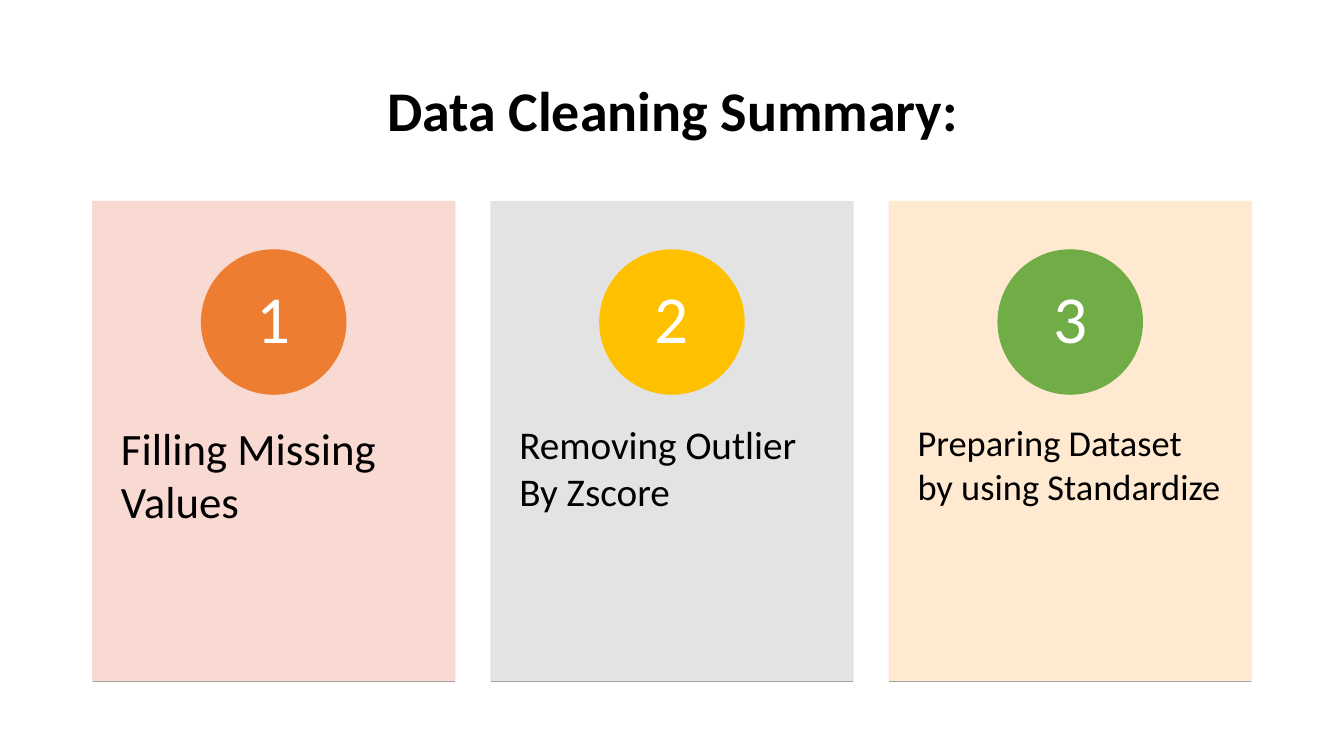
from lxml.etree import SubElement
from pptx import Presentation
from pptx.dml.color import RGBColor
from pptx.enum.shapes import MSO_CONNECTOR, MSO_SHAPE
from pptx.enum.text import MSO_ANCHOR, PP_ALIGN
from pptx.oxml.ns import qn
from pptx.util import Emu, Pt

EMU_PER_PX = 9144  # 100 px to the inch
CARD_LEFT, CARD_TOP, CARD_WIDTH, CARD_HEIGHT = 92, 200, 359, 476
CARD_PITCH = 395
BADGE_SIZE = 143
STEPS = [
    ("Filling Missing Values", 32, "F8D7CE", "ED7D31"),
    ("Removing Outlier By Zscore", 28, "E1E1E1", "FFC000"),
    ("Preparing Dataset by using Standardize", 26, "FFE8CC", "70AD47"),
]


def px(*lengths):
    return [Emu(length * EMU_PER_PX) for length in lengths]


def rgb(code):
    return RGBColor.from_string(code)


class SlideBuilder:
    font = "Calibri"
    ink = "000000"
    badge_ink = "FFFFFF"
    rule_color = "A5A5A5"

    def __init__(self, slide):
        self.slide = slide

    def set_text(self, shape, text, size, color, margins, bold=False,
                 align=PP_ALIGN.LEFT, anchor=MSO_ANCHOR.TOP, spacing=None):
        """Fill a shape with one paragraph; margins are (side, top and bottom)."""
        frame = shape.text_frame
        frame.word_wrap = True
        frame.vertical_anchor = anchor
        side, end = px(*margins)
        frame.margin_left = frame.margin_right = side
        frame.margin_top = frame.margin_bottom = end
        paragraph = frame.paragraphs[0]
        paragraph.text = text
        paragraph.alignment = align
        paragraph.line_spacing = spacing
        paragraph.font.name = self.font
        paragraph.font.size = Pt(size)
        paragraph.font.bold = bold
        paragraph.font.color.rgb = rgb(color)

    def text(self, box, text, size, **style):
        area = self.slide.shapes.add_textbox(*px(*box))
        self.set_text(area, text, size, self.ink, **style)

    def shape(self, preset, box, color, opacity=100):
        """Add a preset shape whose fill and outline share a colour and opacity."""
        shape = self.slide.shapes.add_shape(preset, *px(*box))
        shape.shadow.inherit = False
        shape.fill.solid()
        shape.fill.fore_color.rgb = rgb(color)
        shape.line.color.rgb = rgb(color)
        shape.line.width = Pt(1)
        if opacity < 100:
            for tint in shape.element.spPr.iter(qn("a:srgbClr")):
                SubElement(tint, qn("a:alpha"), val=str(opacity * 1000))
        return shape

    def rule(self, left, top, width):
        line = self.slide.shapes.add_connector(
            MSO_CONNECTOR.STRAIGHT, *px(left, top, left + width, top))
        line.line.color.rgb = rgb(self.rule_color)
        line.line.width = Pt(0.75)
        SubElement(line.element.spPr, qn("a:effectLst"))

    def card(self, left, number, caption, size, card_color, badge_color):
        self.shape(MSO_SHAPE.RECTANGLE,
                   (left, CARD_TOP, CARD_WIDTH, CARD_HEIGHT), card_color, opacity=90)
        self.text((left, 381, CARD_WIDTH, 286), caption, size, margins=(28, 36))
        badge_left = left + (CARD_WIDTH - BADGE_SIZE) // 2
        badge = self.shape(MSO_SHAPE.OVAL,
                           (badge_left, 248, BADGE_SIZE, BADGE_SIZE), badge_color)
        self.set_text(badge, str(number), 48, self.badge_ink, margins=(11, 1),
                      align=PP_ALIGN.CENTER, anchor=MSO_ANCHOR.MIDDLE, spacing=0.9)
        self.rule(left, CARD_TOP + CARD_HEIGHT, CARD_WIDTH)


def main():
    deck = Presentation()
    deck.slide_width, deck.slide_height = px(1333, 750)
    builder = SlideBuilder(deck.slides.add_slide(deck.slide_layouts[6]))
    builder.text((92, 40, 1150, 145), "Data Cleaning Summary:", 40, margins=(10, 5),
                 bold=True, align=PP_ALIGN.CENTER, anchor=MSO_ANCHOR.MIDDLE,
                 spacing=0.9)
    for index, step in enumerate(STEPS):
        builder.card(CARD_LEFT + index * CARD_PITCH, index + 1, *step)
    deck.save("out.pptx")


if __name__ == "__main__":
    main()
